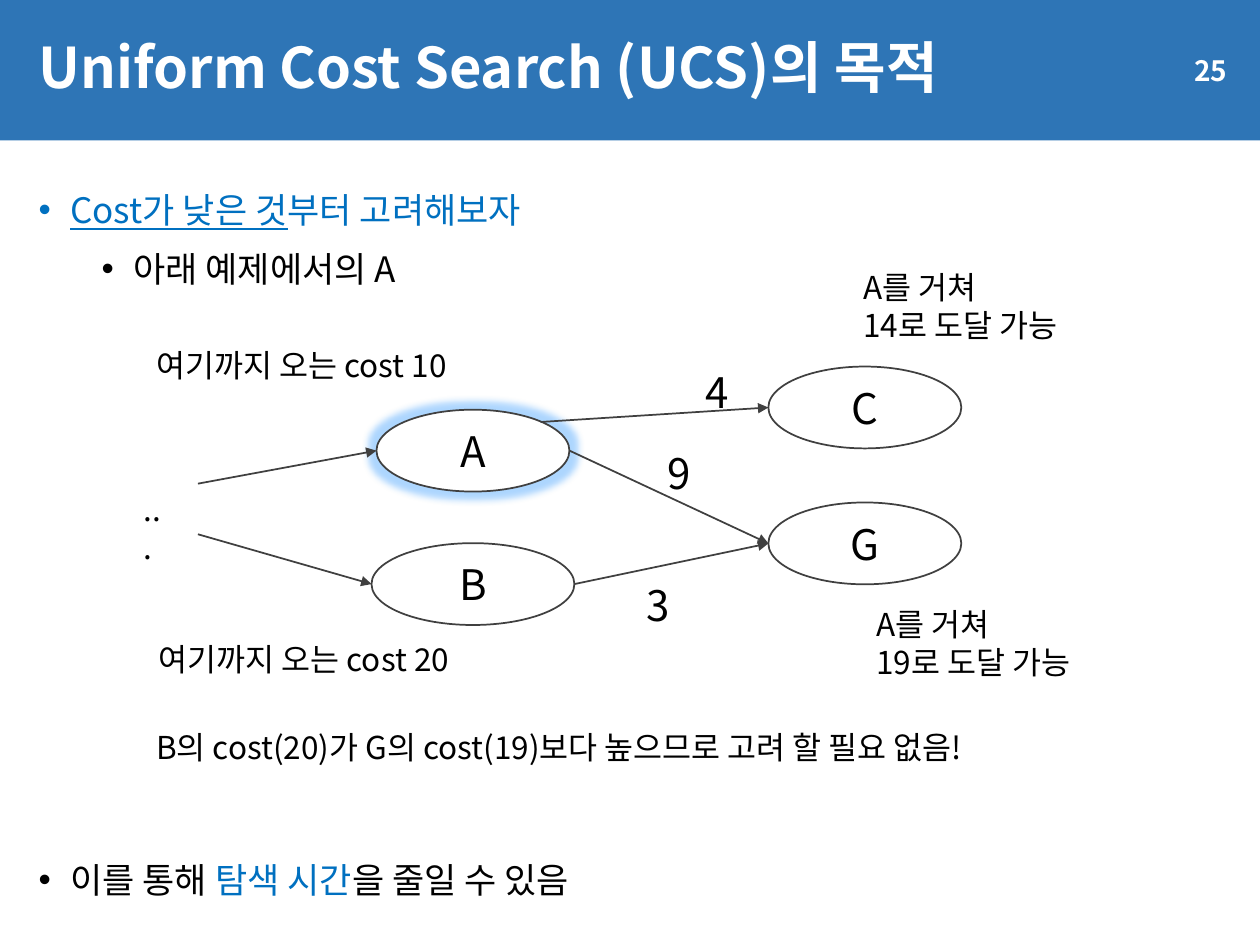
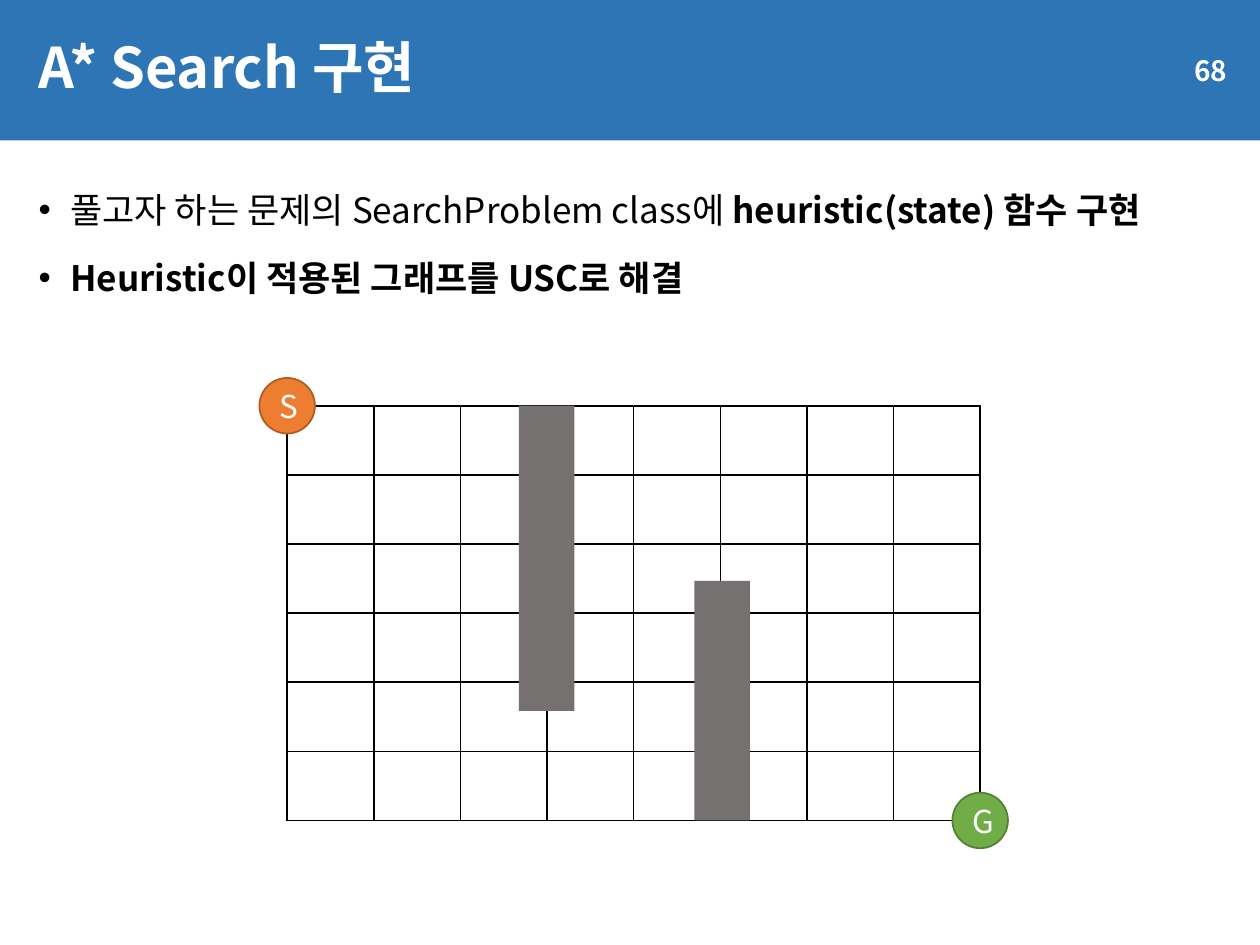
"""Builds two search-algorithm slides: the purpose of UCS and the A* grid example."""
from lxml.etree import SubElement
from pptx import Presentation
from pptx.dml.color import RGBColor
from pptx.enum.shapes import MSO_CONNECTOR, MSO_SHAPE
from pptx.enum.text import MSO_ANCHOR, PP_ALIGN
from pptx.oxml.ns import qn
from pptx.util import Cm, Pt

FONT = "Noto Sans CJK KR"
BAND_BLUE = RGBColor(0x2E, 0x75, 0xB6)
ACCENT_BLUE = RGBColor(0x00, 0x70, 0xC0)
GLOW_BLUE = RGBColor(0x33, 0x99, 0xFF)
BLACK = RGBColor(0x00, 0x00, 0x00)
WHITE = RGBColor(0xFF, 0xFF, 0xFF)
EDGE_GRAY = RGBColor(0x40, 0x40, 0x40)
WALL_GRAY = RGBColor(0x76, 0x71, 0x71)
ORANGE = RGBColor(0xED, 0x7D, 0x31)
DARK_ORANGE = RGBColor(0xAF, 0x5C, 0x24)
GREEN = RGBColor(0x70, 0xAD, 0x47)
DARK_GREEN = RGBColor(0x53, 0x80, 0x35)

SLIDE_SIZE = (25.4, 19.05)
BAND_BOX = (0, 0, 25.4, 2.83)
TITLE_BOX = (0.53, 0.33, 20.8, 2.16)
NUMBER_BOX = (21.56, 0.91, 3.43, 1.02)
BODY_BOX = (0.53, 3.51, 24.43, 3.2)
CLOSING_BOX = (0.53, 17.02, 24.43, 1.5)

BLUE_TEXT = {"color": ACCENT_BLUE}
UNDERLINED = {"color": ACCENT_BLUE, "underline": True}
BOLD = {"bold": True}

UCS_BULLETS = [
    (0, [("Cost가 낮은 것", UNDERLINED), ("부터 고려해보자", BLUE_TEXT)]),
    (1, [("아래 예제에서의 A", {})]),
]
UCS_CLOSING = [
    (0, [("이를 통해 ", {}), ("탐색 시간", BLUE_TEXT), ("을 줄일 수 있음", {})]),
]
ASTAR_BULLETS = [
    (0, [("풀고자 하는 문제의 SearchProblem class에 ", {}),
         ("heuristic(state) 함수 구현", BOLD)]),
    (0, [("Heuristic이 적용된 그래프를 USC로 해결", BOLD)]),
]

NODES = {
    "A": (7.59, 8.26, 3.89, 1.65),
    "B": (7.49, 10.95, 4.09, 1.65),
    "C": (15.49, 7.39, 3.89, 1.65),
    "G": (15.49, 10.13, 3.89, 1.65),
}
GLOWING_NODE = "A"
SITES = {"left": (0, 0.5), "right": (1, 0.5), "upper right": (0.85, 0.15)}
INCOMING_EDGES = [((3.99, 9.75), "A"), ((3.99, 10.77), "B")]
NODE_EDGES = [("A", "upper right", "C"), ("A", "right", "G"), ("B", "right", "G")]
GRAPH_LABELS = [
    ("여기까지 오는 cost 10", 18, (2.9, 6.86, 6.93, 1.02)),
    ("여기까지 오는 cost 20", 18, (2.95, 12.78, 6.93, 1.02)),
    ("...", 18, (2.64, 9.75, 0.94, 1.78)),
    ("4", 24, (13.97, 7.26, 0.99, 1.27)),
    ("9", 24, (13.21, 8.89, 0.99, 1.27)),
    ("3", 24, (12.78, 11.56, 0.99, 1.27)),
    ("A를 거쳐\n14로 도달 가능", 18, (17.15, 5.28, 4.88, 1.8)),
    ("A를 거쳐\n19로 도달 가능", 18, (17.42, 12.07, 4.88, 1.8)),
    ("B의 cost(20)가 G의 cost(19)보다 높으므로 고려 할 필요 없음!", 18,
     (2.9, 14.55, 19.33, 1.02)),
]

GRID_BOX = (5.79, 8.18, 13.97, 8.36)
GRID_ROWS, GRID_COLUMNS = 6, 8
WALLS = [(10.46, 8.18, 1.12, 6.15), (14, 11.71, 1.12, 4.83)]
MARKER_SIZE = 1.12
MARKERS = [("S", (0, 0), ORANGE, DARK_ORANGE), ("G", (1, 1), GREEN, DARK_GREEN)]


def lengths(box):
    return [Cm(value) for value in box]


def point_in(box, fractions):
    left, top, width, height = box
    return left + width * fractions[0], top + height * fractions[1]


def add_run(paragraph, text, size, color=BLACK, bold=False, underline=False):
    run = paragraph.add_run()
    run.text = text
    run.font.size = Pt(size)
    run.font.bold = bold
    run.font.underline = underline
    run.font.color.rgb = color
    run.font.name = FONT
    SubElement(run.font._element, qn("a:ea"), typeface=FONT)


def write_text(shape, text, size, align=PP_ALIGN.LEFT, **style):
    shape.text_frame.word_wrap = True
    paragraph = shape.text_frame.paragraphs[0]
    paragraph.alignment = align
    for index, line in enumerate(text.split("\n")):
        if index:
            paragraph.add_line_break()
        add_run(paragraph, line, size, **style)
    return paragraph


def add_text(slide, box, text, size, anchor=MSO_ANCHOR.TOP, **style):
    text_box = slide.shapes.add_textbox(*lengths(box))
    text_box.text_frame.vertical_anchor = anchor
    return write_text(text_box, text, size, **style)


def add_filled(slide, kind, box, fill, line=None):
    shape = slide.shapes.add_shape(kind, *lengths(box))
    shape.shadow.inherit = False
    shape.fill.solid()
    shape.fill.fore_color.rgb = fill
    if line is None:
        shape.line.fill.background()
    else:
        shape.line.color.rgb = line
        shape.line.width = Pt(1)
    shape.text_frame.vertical_anchor = MSO_ANCHOR.MIDDLE
    return shape


def add_bullets(slide, box, bullets):
    frame = slide.shapes.add_textbox(*lengths(box)).text_frame
    frame.word_wrap = True
    for index, (level, runs) in enumerate(bullets):
        paragraph = frame.add_paragraph() if index else frame.paragraphs[0]
        properties = paragraph._p.get_or_add_pPr()
        properties.set("marL", str(Cm(0.64 + 1.27 * level)))
        properties.set("indent", str(-Cm(0.64)))
        SubElement(properties, qn("a:buFont"), typeface="Arial")
        SubElement(properties, qn("a:buChar"), char="•")
        paragraph.level = level
        paragraph.line_spacing = 1.2
        if index:
            paragraph.space_before = Pt(5 if level else 10)
        for text, style in runs:
            add_run(paragraph, text, 20, **style)


def add_arrow(slide, start, end):
    connector = slide.shapes.add_connector(
        MSO_CONNECTOR.STRAIGHT, *lengths(start + end))
    connector.line.color.rgb = EDGE_GRAY
    connector.line.width = Pt(1)
    SubElement(connector.line._get_or_add_ln(), qn("a:tailEnd"), type="triangle")
    SubElement(connector._element.spPr, qn("a:effectLst"))


def add_glow(shape):
    effects = shape._element.spPr.find(qn("a:effectLst"))
    glow = SubElement(effects, qn("a:glow"), rad=str(Pt(8)))
    color = SubElement(glow, qn("a:srgbClr"), val=str(GLOW_BLUE))
    SubElement(color, qn("a:alpha"), val="40000")


def add_borders(cell):
    properties = cell._tc.get_or_add_tcPr()
    for index, side in enumerate(("lnL", "lnR", "lnT", "lnB")):
        border = SubElement(properties, qn(f"a:{side}"), w=str(Pt(1)))
        fill = SubElement(border, qn("a:solidFill"))
        SubElement(fill, qn("a:srgbClr"), val=str(BLACK))
        properties.remove(border)
        properties.insert(index, border)


def add_base_slide(presentation, title, number):
    slide = presentation.slides.add_slide(presentation.slide_layouts[6])
    add_filled(slide, MSO_SHAPE.RECTANGLE, BAND_BOX, BAND_BLUE)
    heading = add_text(slide, TITLE_BOX, title, 32, MSO_ANCHOR.MIDDLE,
                       color=WHITE, bold=True)
    heading.line_spacing = 0.9
    add_text(slide, NUMBER_BOX, number, 16, MSO_ANCHOR.MIDDLE,
             align=PP_ALIGN.RIGHT, color=WHITE, bold=True)
    return slide


def add_graph(slide):
    for name, box in NODES.items():
        node = add_filled(slide, MSO_SHAPE.OVAL, box, WHITE, EDGE_GRAY)
        frame = node.text_frame
        frame.margin_left = frame.margin_right = 0
        frame.margin_top = frame.margin_bottom = 0
        write_text(node, name, 24, PP_ALIGN.CENTER)
        if name == GLOWING_NODE:
            add_glow(node)
    edges = INCOMING_EDGES + [
        (point_in(NODES[source], SITES[site]), target)
        for source, site, target in NODE_EDGES]
    for start, target in edges:
        add_arrow(slide, start, point_in(NODES[target], SITES["left"]))
    for text, size, box in GRAPH_LABELS:
        add_text(slide, box, text, size)


def add_grid(slide):
    table = slide.shapes.add_table(
        GRID_ROWS, GRID_COLUMNS, *lengths(GRID_BOX)).table
    table.first_row = False
    table.horz_banding = False
    for column in table.columns:
        column.width = Cm(GRID_BOX[2] / GRID_COLUMNS)
    for row in table.rows:
        row.height = Cm(GRID_BOX[3] / GRID_ROWS)
    for cell in table.iter_cells():
        cell.fill.background()
        add_borders(cell)
    for box in WALLS:
        add_filled(slide, MSO_SHAPE.RECTANGLE, box, WALL_GRAY)
    for name, corner, fill, line in MARKERS:
        x, y = point_in(GRID_BOX, corner)
        box = (x - MARKER_SIZE / 2, y - MARKER_SIZE / 2, MARKER_SIZE, MARKER_SIZE)
        marker = add_filled(slide, MSO_SHAPE.OVAL, box, fill, line)
        write_text(marker, name, 18, PP_ALIGN.CENTER, color=WHITE)


def main():
    presentation = Presentation()
    presentation.slide_width, presentation.slide_height = lengths(SLIDE_SIZE)

    ucs_slide = add_base_slide(presentation, "Uniform Cost Search (UCS)의 목적", "25")
    add_bullets(ucs_slide, BODY_BOX, UCS_BULLETS)
    add_graph(ucs_slide)
    add_bullets(ucs_slide, CLOSING_BOX, UCS_CLOSING)

    astar_slide = add_base_slide(presentation, "A* Search 구현", "68")
    add_bullets(astar_slide, BODY_BOX, ASTAR_BULLETS)
    add_grid(astar_slide)

    presentation.save("out.pptx")


if __name__ == "__main__":
    main()
